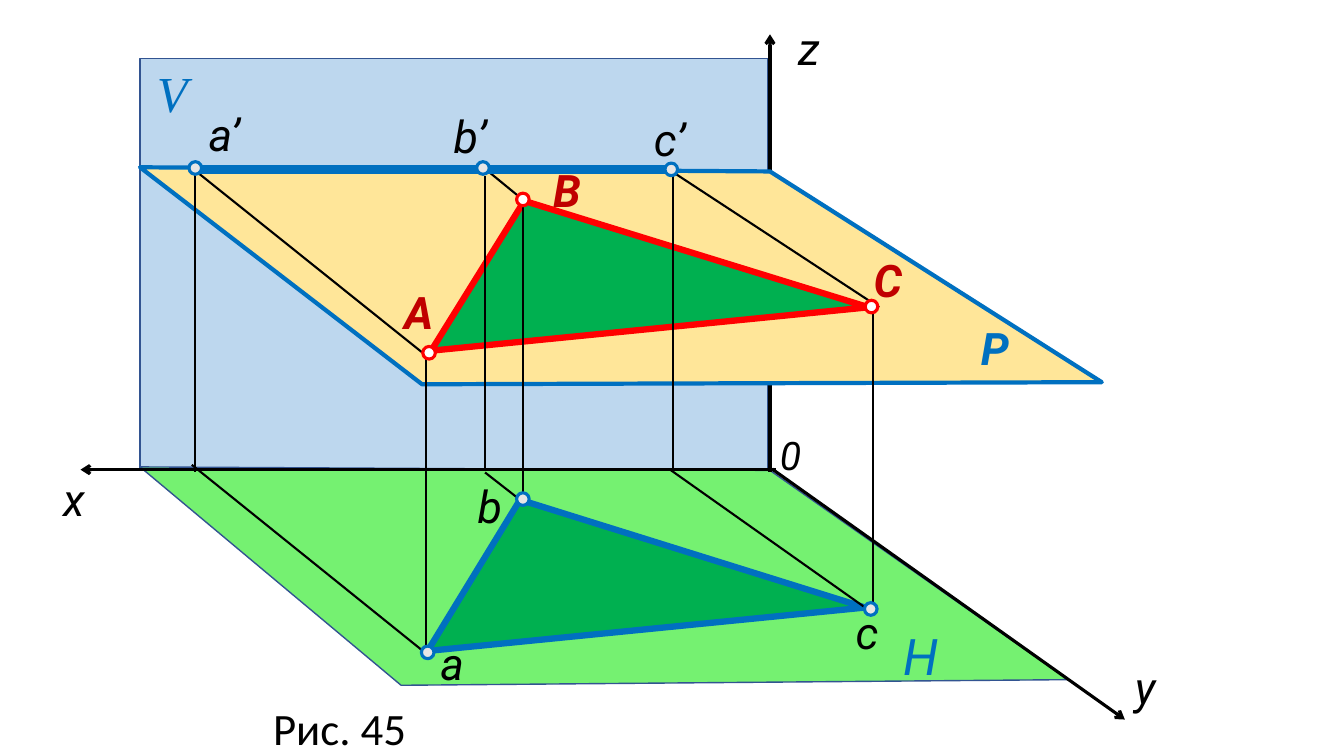
from dataclasses import dataclass
from lxml.etree import SubElement
from pptx import Presentation
from pptx.dml.color import RGBColor as RGB
from pptx.enum.shapes import MSO_CONNECTOR as Connector, MSO_SHAPE as Preset
from pptx.oxml.ns import qn
from pptx.util import Pt


@dataclass(frozen=True)
class Theme:
    black: str = "000000"
    white: str = "FFFFFF"
    blue: str = "0070C0"
    red: str = "FF0000"
    dark_red: str = "C00000"
    green: str = "00B050"
    light_green: str = "75F171"
    light_blue: str = "BDD7EE"
    sand: str = "FFE699"
    grey: str = "E7E6E6"
    outline: str = "325491"
    font: str = "Roboto"
    serif: str = "Times New Roman"
    caption_font: str = "Calibri"
    label_size: int = 32
    plane_size: int = 36
    origin_size: int = 28
    thin: float = 1.5
    axis: float = 2.25
    edge: float = 4.5
    dot: float = 9


@dataclass(frozen=True)
class Box:
    left: float
    top: float
    width: float
    height: float

    def at(self, x, y):
        return Pt(self.left + x), Pt(self.top + y)


THEME = Theme()
FIGURE = Box(100, 42, 704, 472)
CAPTION = Box(188, 497, 111, 46)


def paint(shape, fill, line, width):
    shape.shadow.inherit = False
    shape.fill.solid()
    shape.fill.fore_color.rgb = RGB.from_string(fill)
    shape.line.color.rgb = RGB.from_string(line)
    shape.line.width = Pt(width)


def draw_polygon(slide, box, corners, fill, line, width):
    start, *rest = [box.at(*corner) for corner in corners]
    outline = slide.shapes.build_freeform(*start)
    outline.add_line_segments(rest, close=True)
    paint(outline.convert_to_shape(), fill, line, width)


def draw_line(slide, box, start, end, width=THEME.thin, color=THEME.black, arrow=False):
    line = slide.shapes.add_connector(Connector.STRAIGHT, *box.at(*start), *box.at(*end))
    line.line.color.rgb = RGB.from_string(color)
    line.line.width = Pt(width)
    properties = line._element.spPr
    if arrow:
        SubElement(properties.find(qn("a:ln")), qn("a:headEnd"), type="arrow")
    SubElement(properties, qn("a:effectLst"))


def draw_dots(slide, box, centres, fill, line):
    half = THEME.dot / 2
    for x, y in centres:
        dot = slide.shapes.add_shape(
            Preset.OVAL, *box.at(x - half, y - half), Pt(THEME.dot), Pt(THEME.dot))
        paint(dot, fill, line, THEME.axis)


def write(slide, box, text, x=0, y=0, width=64, height=46, size=THEME.label_size,
          font=THEME.font, color=THEME.black, bold=False, italic=True, wrap=True):
    label = slide.shapes.add_textbox(*box.at(x, y), Pt(width), Pt(height))
    label.text_frame.word_wrap = wrap
    run = label.text_frame.paragraphs[0].add_run()
    run.text = text
    run.font.size = Pt(size)
    run.font.name = font
    run.font.bold = bold
    run.font.italic = italic
    run.font.color.rgb = RGB.from_string(color)


def draw_projection_planes(slide, box):
    frontal = slide.shapes.add_shape(Preset.RECTANGLE, *box.at(0, 0), Pt(448.5), Pt(294))
    paint(frontal, THEME.light_blue, THEME.outline, 1)
    horizontal = [(0, 291.5), (450, 294), (663, 443.5), (186.5, 447.5)]
    draw_polygon(slide, box, horizontal, THEME.light_green, THEME.outline, 1)
    write(slide, box, "V", 5, -1.5, size=THEME.plane_size, font=THEME.serif, color=THEME.blue)
    write(slide, box, "H", 538, 401, size=THEME.plane_size, color=THEME.blue)


def draw_axes(slide, box):
    for tip, tail in (((-42.5, 293.5), (454.5, 293.5)),
                      ((450, -17.5), (450, 295)),
                      ((703.5, 472), (451.5, 293))):
        draw_line(slide, box, tip, tail, THEME.axis, arrow=True)
    write(slide, box, "0", 450, 262.5, size=THEME.origin_size)
    for name, x, y in (("x", -62, 291.5), ("y", 703.5, 426), ("z", 463, -30.5)):
        write(slide, box, name, x, y, 29.5, wrap=False)


def draw_triangles(slide, box):
    plane_p = [(0, 77.5), (450, 80.5), (687, 231), (201.5, 232.5)]
    draw_polygon(slide, box, plane_p, THEME.sand, THEME.blue, 3)
    triangle = [(208, 208.5), (274.5, 101.5), (520.5, 177.5)]
    draw_polygon(slide, box, triangle, THEME.green, THEME.red, THEME.edge)
    for x, low, high in ((204.5, 420, 210.5), (523.5, 393, 180.5), (273.5, 349, 102.5)):
        draw_line(slide, box, (x, low), (x, high))
    projection = [(205.5, 423), (271.5, 315), (518, 392)]
    draw_polygon(slide, box, projection, THEME.green, THEME.blue, THEME.edge)


def draw_projection_lines(slide, box):
    for start, end in (((207.5, 214.5), (39, 79.5)),
                       ((528, 177.5), (380, 80.5)),
                       ((274.5, 101.5), (247, 79)),
                       ((381, 293.5), (381, 83.5)),
                       ((246.5, 293), (246.5, 83.5)),
                       ((39, 295), (39, 79.5)),
                       ((518, 392), (378, 293)),
                       ((271.5, 315), (246.5, 295.5)),
                       ((204, 424.5), (37, 290))):
        draw_line(slide, box, start, end)


def draw_points(slide, box):
    for name, x, y in (("B", 288, 70.5), ("A", 181.5, 157.5), ("C", 517, 135)):
        write(slide, box, name, x, y, 34.5, color=THEME.dark_red, bold=True)
    write(slide, box, "P", 593.5, 183.5, 36, color=THEME.blue, bold=True, wrap=False)
    for name, x, y in (("a", 207.5, 408.5), ("b", 234, 296.5), ("c", 504, 386.5),
                       ("a’", 42, 30.5), ("b’", 217, 32), ("c’", 360, 34.5)):
        write(slide, box, name, x, y, 43)
    draw_line(slide, box, (42.5, 79), (384.5, 79), 6, THEME.blue)
    projected = [(379.5, 79), (245, 78), (39.5, 78),
                 (205.5, 424), (273.5, 314.5), (522, 393)]
    draw_dots(slide, box, projected, THEME.grey, THEME.blue)
    vertices = [(273.5, 100.5), (206.5, 210), (522.5, 177)]
    draw_dots(slide, box, vertices, THEME.white, THEME.red)


def draw_caption(slide, box):
    write(slide, box, "Рис. 45", width=box.width, height=box.height,
          font=THEME.caption_font, italic=False, wrap=False)


def main():
    deck = Presentation()
    deck.slide_width, deck.slide_height = Pt(960), Pt(540)
    slide = deck.slides.add_slide(deck.slide_layouts[6])
    for draw in (draw_projection_planes, draw_axes, draw_triangles,
                 draw_projection_lines, draw_points):
        draw(slide, FIGURE)
    draw_caption(slide, CAPTION)
    deck.save("out.pptx")


if __name__ == "__main__":
    main()
